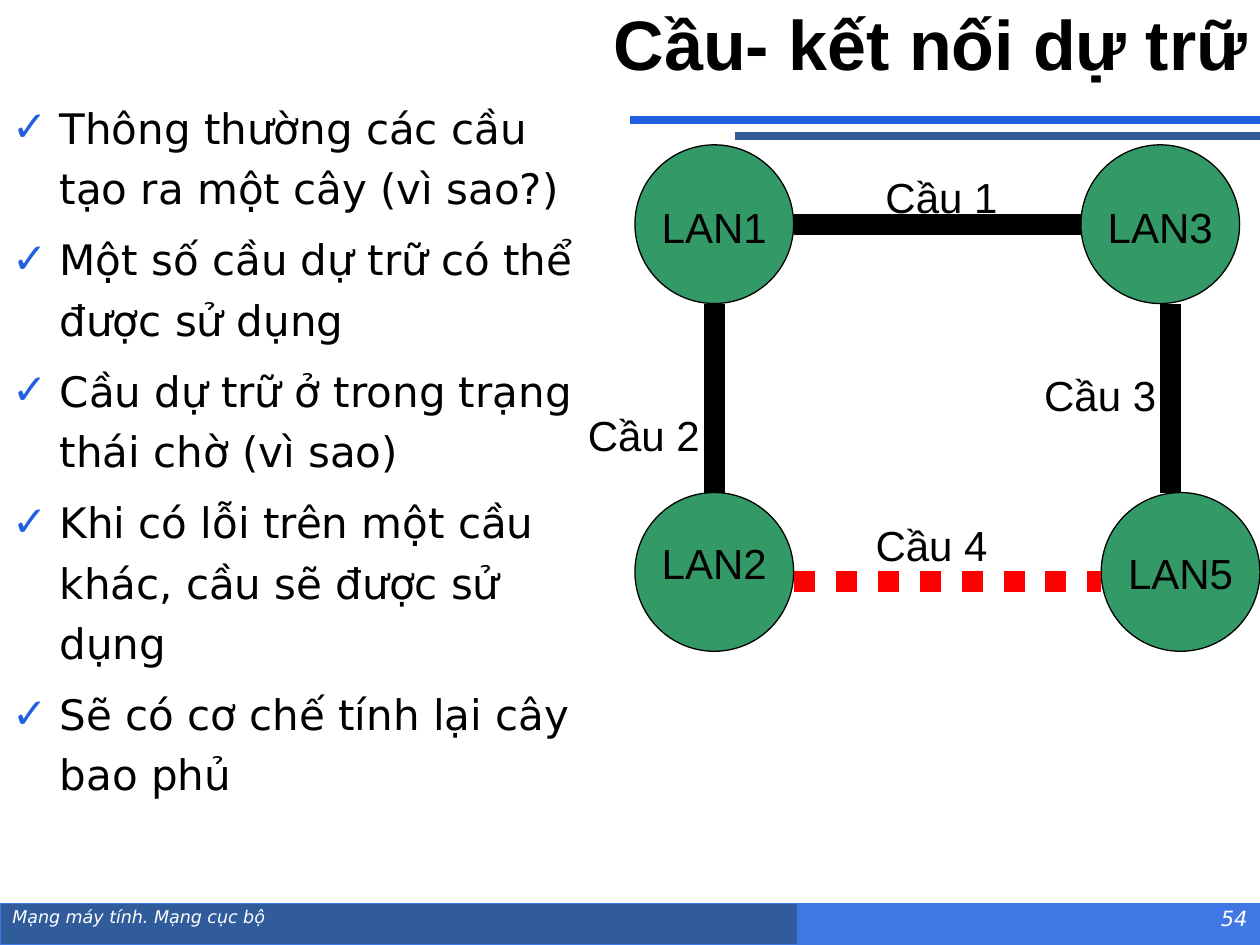
from lxml import etree
from pptx import Presentation
from pptx.dml.color import RGBColor
from pptx.enum import dml, shapes, text
from pptx.oxml import ns
from pptx.util import Cm, Pt


def color(value):
    return RGBColor.from_string(value)


def add_label(words, left, top, width, height, size, font, fill, align):
    label = slide.shapes.add_textbox(Cm(left), Cm(top), Cm(width), Cm(height))
    label.text_frame.word_wrap = True
    paragraph = label.text_frame.paragraphs[0]
    paragraph.text = words
    paragraph.alignment = align
    run = paragraph.runs[0]
    run.font.size, run.font.name = Pt(size), font
    run.font.color.rgb = color(fill)
    return run


LEFT, CENTER, RIGHT = text.PP_ALIGN.LEFT, text.PP_ALIGN.CENTER, text.PP_ALIGN.RIGHT
deck = Presentation()
deck.slide_width, deck.slide_height = Cm(25.4), Cm(19.05)
slide = deck.slides.add_slide(deck.slide_layouts[1])

# Title
title = slide.shapes.title
title.left, title.top, title.width, title.height = Cm(0), Cm(0), Cm(25.4), Cm(1.73)
title.text_frame.text = "Cầu- kết nối dự trữ"
title.text_frame.auto_size = text.MSO_AUTO_SIZE.NONE
title.text_frame.vertical_anchor = text.MSO_ANCHOR.MIDDLE
heading = title.text_frame.paragraphs[0]
heading.alignment = RIGHT
heading_font = heading.runs[0].font
heading_font.size, heading_font.name, heading_font.bold = Pt(40), "Arial", True
heading_font.color.rgb = color("000000")

# Checklist
points = [
    "Thông thường các cầu tạo ra một cây (vì sao?)",
    "Một số cầu dự trữ có thể được sử dụng",
    "Cầu dự trữ ở trong trạng thái chờ (vì sao)",
    "Khi có lỗi trên một cầu khác, cầu sẽ được sử dụng",
    "Sẽ có cơ chế tính lại cây bao phủ",
]
checklist = slide.placeholders[1]
checklist.left, checklist.top = Cm(0), Cm(1.73)
checklist.width, checklist.height = Cm(12.5), Cm(16.2)
checklist.text_frame.text = "\n".join(points)
checklist.text_frame.auto_size = text.MSO_AUTO_SIZE.NONE
for number, point in enumerate(checklist.text_frame.paragraphs):
    point.line_spacing = 1.2
    point.space_before = Pt(6 if number else 0)
    properties = point._p.get_or_add_pPr()
    properties.set("marL", str(Cm(0.95)))
    properties.set("indent", str(-Cm(0.95)))
    bullet_color = etree.SubElement(properties, ns.qn("a:buClr"))
    etree.SubElement(bullet_color, ns.qn("a:srgbClr"), val="2060E0")
    etree.SubElement(properties, ns.qn("a:buFont"), typeface="DejaVu Sans")
    etree.SubElement(properties, ns.qn("a:buChar"), char="✓")
    point_font = point.runs[0].font
    point_font.size, point_font.name = Pt(24), "DejaVu Sans"
    point_font.color.rgb = color("000000")

# Footer bars, then LAN circles
lans = [
    ("LAN1", 12.8, 2.92, 3.94),
    ("LAN2", 12.8, 9.93, 10.72),
    ("LAN3", 21.79, 2.92, 3.94),
    ("LAN5", 22.2, 9.93, 10.92),
]
bar, circle = shapes.MSO_SHAPE.RECTANGLE, shapes.MSO_SHAPE.OVAL
outlines = [
    (bar, 12.7, 18.21, 12.7, 0.84, "4077E4", "4077E4"),
    (bar, 0, 18.21, 16.08, 0.84, "315C9B", "4077E4"),
] + [(circle, left, top, 3.2, 3.2, "339966", "000000") for _, left, top, _ in lans]
for kind, left, top, width, height, fill, edge in outlines:
    outline = slide.shapes.add_shape(kind, Cm(left), Cm(top), Cm(width), Cm(height))
    outline.shadow.inherit = False
    outline.fill.solid()
    outline.fill.fore_color.rgb = color(fill)
    outline.line.color.rgb = color(edge)
    outline.line.width = Pt(0.75)

# Title rules, then bridges between LANs (bridge 4 is the spare)
lines = [
    (25.4, 2.42, 12.7, 2.42, "2060E0", 4.5, None),
    (25.4, 2.75, 14.82, 2.75, "315C9B", 4.5, None),
    (16, 4.52, 21.79, 4.52, "000000", 12, None),
    (14.4, 6.12, 14.4, 9.93, "000000", 12, None),
    (23.6, 6.12, 23.6, 9.93, "000000", 12, None),
    (16, 11.73, 22.2, 11.73, "FF0000", 12, dml.MSO_LINE.ROUND_DOT),
]
for x1, y1, x2, y2, stroke, weight, dash in lines:
    line = slide.shapes.add_connector(
        shapes.MSO_CONNECTOR.STRAIGHT, Cm(x1), Cm(y1), Cm(x2), Cm(y2))
    line.line.color.rgb = color(stroke)
    line.line.width = Pt(weight)
    if dash:
        line.line.dash_style = dash
    etree.SubElement(line._element.spPr, ns.qn("a:effectLst"))

# LAN and bridge names
for name, left, _, top in lans:
    add_label(name, left + 0.2, top, 2.8, 1.27, 24, "Arial", "000000", CENTER)
bridges = [
    ("Cầu 1", 17.6, 3.33),
    ("Cầu 2", 11.6, 8.13),
    ("Cầu 3", 20.8, 7.32),
    ("Cầu 4", 17.4, 10.34),
]
for name, left, top in bridges:
    add_label(name, left, top, 3.4, 1.27, 24, "Arial", "000000", LEFT)

# Footer text
footers = [
    ("Mạng máy tính. Mạng cục bộ", 0, 21.69, 0.91, 10, LEFT),
    ("54", 21.79, 3.61, 0.79, 12, RIGHT),
]
for words, left, width, height, size, align in footers:
    footer = add_label(words, left, 18.14, width, height, size, "DejaVu Sans", "FFFFFF", align)
    footer.font.italic = True

deck.save("out.pptx")
